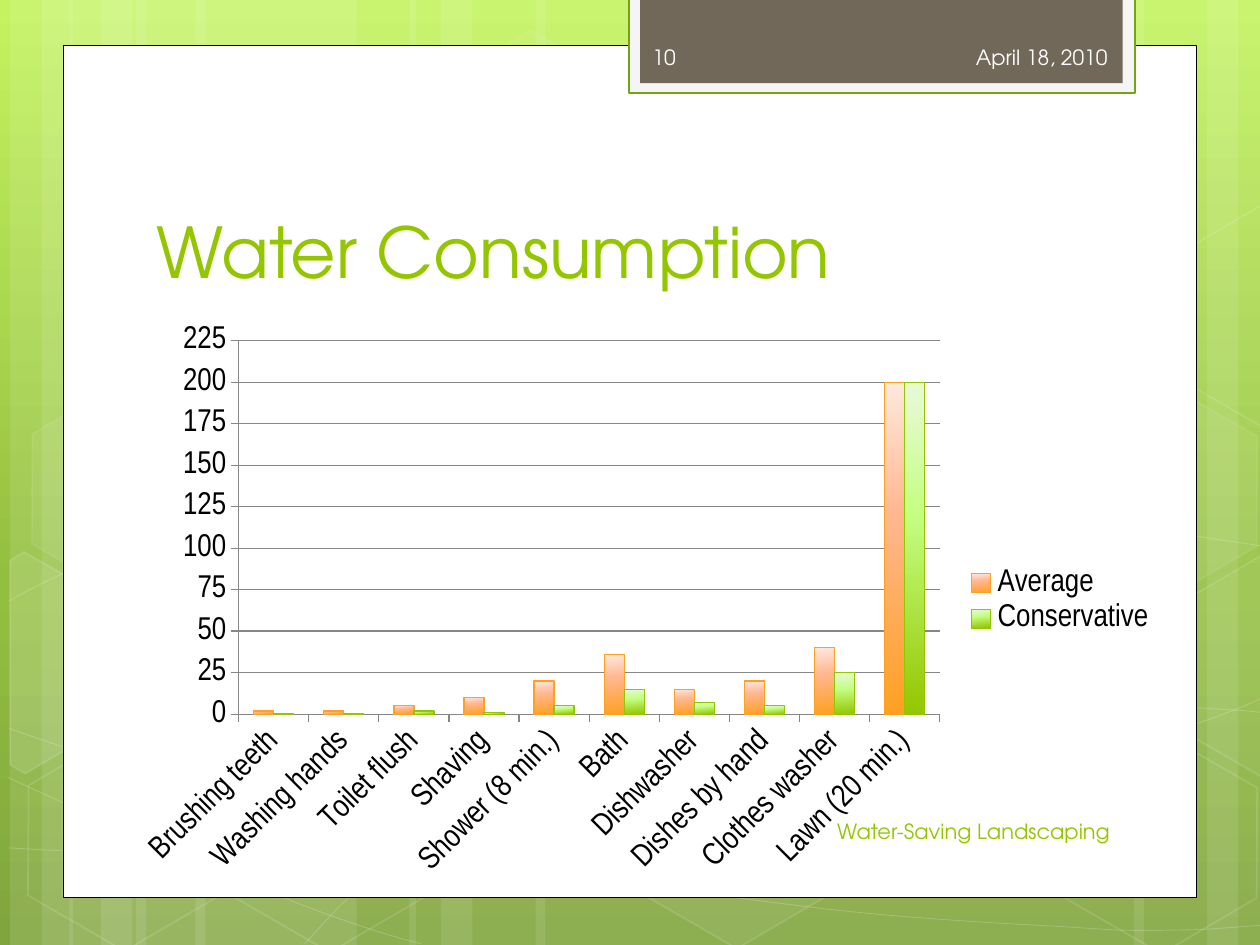
from dataclasses import dataclass
from typing import Optional

from lxml.etree import SubElement
from pptx import Presentation
from pptx.chart.data import CategoryChartData
from pptx.dml.color import RGBColor
from pptx.enum.chart import XL_CHART_TYPE as ChartType, XL_LEGEND_POSITION as LegendPosition
from pptx.enum.chart import XL_TICK_MARK as TickMark
from pptx.enum.shapes import MSO_SHAPE as Preset
from pptx.enum.text import MSO_ANCHOR as Anchor, PP_ALIGN as Align
from pptx.oxml import parse_xml
from pptx.oxml.ns import nsdecls, qn
from pptx.util import Cm, Pt


@dataclass(frozen=True)
class Theme:
    white: str = "FFFFFF"
    near_white: str = "FEFEFE"
    black: str = "000000"
    green: str = "94C600"
    orange: str = "FEA022"
    frame: str = "F5F5F5"
    frame_line: str = "74A510"
    brown: str = "71685A"
    axis: str = "878787"
    backdrop: tuple = ((0, "C3F35F"), (62, "93BF3F"), (100, "81A53E"))
    orange_fade: tuple = ((0, "FFE9DE"), (40, "FFB78F"), (100, "FFA021"))
    green_fade: tuple = ((0, "EAF9DA"), (40, "C4FF82"), (100, "94C600"))
    font: str = "TeX Gyre Adventor"
    chart_font: str = "Arial Narrow"
    title_size: int = 40
    chart_size: int = 18
    small_size: int = 12


@dataclass(frozen=True)
class Style:
    """Fill and line; opacities are percentages."""
    fill: Optional[str] = None
    fill_opacity: int = 100
    line: Optional[str] = None
    line_width: float = 1
    line_opacity: int = 100


@dataclass(frozen=True)
class Hexagon:
    left: float
    top: float
    fill_opacity: int
    line_opacity: int


@dataclass(frozen=True)
class Label:
    text: str
    box: tuple
    color: str
    align: Align


@dataclass(frozen=True)
class Series:
    name: str
    values: tuple
    fade: tuple
    line: str


THEME = Theme()
STRIPES = ((1.08, 1.75), (0.08, 0.5), (0.33, 0.83), (1.55, 1.75), (0.55, 0.5), (0.8, 0.83),
           (7.33, 1.75), (9.58, 0.5), (9, 0.83), (4.25, 3.08), (3.25, 0.5), (3.5, 0.83))
# Each curve: a start point, then three Bezier points per segment.
CURVES = (
    ((0.07, 6.73), (0.61, 6.76), (1.15, 6.79), (1.9, 6.78), (2.65, 6.77), (3.58, 6.75), (4.58, 6.65),
     (5.58, 6.55), (7, 6.36), (7.92, 6.17), (8.83, 5.98), (9.77, 5.68), (10.07, 5.51)),
    ((0.07, 4.77), (0.36, 4.61), (0.65, 4.46), (1.21, 4.31), (1.78, 4.16), (2.59, 3.94), (3.47, 3.87),
     (4.36, 3.8), (5.44, 3.79), (6.54, 3.87), (7.64, 3.95), (9.47, 4.26), (10.07, 4.34)),
    ((0.06, 6.17), (1.27, 6.72), (2.47, 7.27), (3.34, 7.49)),
    ((0.07, 5.78), (0.38, 5.89), (0.7, 6), (1.28, 6.16), (1.86, 6.31), (2.73, 6.56), (3.57, 6.73),
     (4.4, 6.9), (5.45, 7.08), (6.28, 7.18), (7.11, 7.29), (8, 7.33), (8.53, 7.36),
     (9.05, 7.4), (9.19, 7.38), (9.45, 7.38), (9.71, 7.37), (9.89, 7.35), (10.07, 7.34)),
    ((2.42, 7.49), (2.6, 7.29), (2.78, 7.09), (3.02, 6.91), (3.26, 6.73), (3.6, 6.53), (3.88, 6.39),
     (4.16, 6.25), (4.33, 6.19), (4.7, 6.09), (5.06, 5.99), (5.73, 5.85), (6.08, 5.78),
     (6.44, 5.71), (6.49, 5.71), (6.8, 5.69), (7.11, 5.66), (7.6, 5.63), (7.94, 5.62),
     (8.29, 5.61), (8.86, 5.62), (8.86, 5.62), (8.86, 5.62), (9.53, 5.62), (9.53, 5.62),
     (9.71, 5.63), (9.88, 5.64), (9.97, 5.65), (10.06, 5.66), (10.03, 5.65), (10.06, 5.66)),
)
HEXAGONS = (Hexagon(3.34, 0.36, 4, 8), Hexagon(4.97, 5.89, 6, 12), Hexagon(0.11, 5.91, 0, 12),
            Hexagon(0.14, 3.12, 7, 8), Hexagon(1.74, 5.92, 0, 12), Hexagon(7.53, 4.53, 10, 12),
            Hexagon(8.34, 5.93, 0, 12), Hexagon(8.34, 3.14, 7, 8))
CUT_HEXAGONS = (
    (10, ((0.08, 4.45), (0.19, 4.38), (0.96, 4.82), (0.95, 5.7), (0.2, 6.14), (0.08, 6.07))),
    (4, ((9.26, 4.85), (10.01, 4.41), (10.09, 4.46), (10.09, 6.13), (10.02, 6.17), (9.26, 5.73))),
    (0, ((9.26, 2.07), (10.01, 1.63), (10.1, 1.68), (10.09, 3.35), (10.02, 3.39), (9.26, 2.95))),
)
PANELS = (
    ((0.5, 0.36, 9, 6.76), Style(THEME.white, line=THEME.black, line_width=0.5)),
    ((4.99, -0.02, 4.02, 0.76), Style(THEME.frame, line=THEME.frame_line, line_width=1.25)),
    ((5.08, -0.02, 3.83, 0.68), Style(THEME.brown)),
)
LABELS = (
    Label("April 18, 2010", (6.56, 0.25, 2.33, 0.4), THEME.near_white, Align.RIGHT),
    Label("Water-Saving Landscaping", (5.08, 6.4, 3.83, 0.4), THEME.green, Align.RIGHT),
    Label("10", (5.08, 0.25, 1.46, 0.4), THEME.near_white, Align.LEFT),
)
CATEGORIES = ("Brushing teeth", "Washing hands", "Toilet flush", "Shaving", "Shower (8 min.)",
              "Bath", "Dishwasher", "Dishes by hand", "Clothes washer", "Lawn (20 min.)")
SERIES = (
    Series("Average", (2, 2, 5, 10, 20, 36, 15, 20, 40, 200), THEME.orange_fade, THEME.orange),
    Series("Conservative", (0.5, 0.5, 2, 1, 5, 15, 7, 5, 25, 200), THEME.green_fade, THEME.green),
)


def inches(value: float) -> Cm:
    return Cm(value * 2.54)


def lengths(values: tuple) -> list:
    return [inches(value) for value in values]


def paint(fill, color: Optional[str], opacity: int, element, color_query: str) -> None:
    if color is None or opacity == 0:
        fill.background()
        return
    fill.solid()
    fill.fore_color.rgb = RGBColor.from_string(color)
    if opacity < 100:
        SubElement(element.xpath(color_query)[0], qn("a:alpha"), val=str(opacity * 1000))


def apply_style(shape, style: Style) -> None:
    shape.shadow.inherit = False
    paint(shape.fill, style.fill, style.fill_opacity, shape.element, "p:spPr/a:solidFill/a:srgbClr")
    shape.line.width = Pt(style.line_width)
    paint(shape.line.fill, style.line, style.line_opacity, shape.element,
          "p:spPr/a:ln/a:solidFill/a:srgbClr")


def apply_gradient(fill, element, stops: tuple, angle: int) -> None:
    """Give a fill any number of stops; the angle runs clockwise."""
    fill.gradient()
    gradient = element.xpath(".//a:gradFill")[0]
    stop_list = gradient.find(qn("a:gsLst"))
    for stop in list(stop_list):
        stop_list.remove(stop)
    for position, color in stops:
        stop = SubElement(stop_list, qn("a:gs"), pos=str(position * 1000))
        SubElement(stop, qn("a:srgbClr"), val=color)
    gradient.find(qn("a:lin")).set("ang", str(angle * 60000))


def format_font(font, name: str, size: int, color: str) -> None:
    font.name, font.size, font.bold = name, Pt(size), False
    font.color.rgb = RGBColor.from_string(color)


def add_outline(slide, points: tuple, style: Style, close: bool):
    start, *rest = [lengths(point) for point in points]
    builder = slide.shapes.build_freeform(*start, scale=1.0)
    builder.add_line_segments(rest, close=close)
    shape = builder.convert_to_shape()
    apply_style(shape, style)
    return shape


def bend(shape) -> None:
    """Turn every three line segments of an outline into one Bezier segment."""
    segments = shape.element.xpath(".//a:path/a:lnTo")
    outline = segments[0].getparent()
    for index in range(0, len(segments), 3):
        curve = SubElement(outline, qn("a:cubicBezTo"))
        for segment in segments[index:index + 3]:
            curve.append(segment[0])
            outline.remove(segment)


def add_box(slide, box: tuple, style: Style, preset=Preset.RECTANGLE):
    shape = slide.shapes.add_shape(preset, *lengths(box))
    apply_style(shape, style)
    return shape


def add_backdrop(slide) -> None:
    apply_gradient(slide.background.fill, slide.element, THEME.backdrop, 90)
    for left, width in STRIPES:
        add_box(slide, (left, 0, width, 7.5), Style(THEME.white, 10))
    for curve in CURVES:
        bend(add_outline(slide, curve, Style(None, 0, THEME.white, 0.5, 20), close=False))
    for hexagon in HEXAGONS:
        style = Style(THEME.white, hexagon.fill_opacity, THEME.white, 1, hexagon.line_opacity)
        shape = add_box(slide, (hexagon.left, hexagon.top, 1.75, 1.52), style, Preset.HEXAGON)
        shape.adjustments[0] = 0.285
        shape.rotation = 30
    for opacity, points in CUT_HEXAGONS:
        add_outline(slide, points, Style(THEME.white, opacity, THEME.white, 1, 12), close=True)
    for box, style in PANELS:
        add_box(slide, box, style)


def add_title(slide) -> None:
    title = slide.shapes.title
    slide.shapes.element.append(title.element)  # bring in front of the panels
    title.left, title.top, title.width, title.height = lengths((1.14, 1.12, 7.68, 1.25))
    title.text_frame.text = "Water Consumption"
    title.text_frame.vertical_anchor = Anchor.BOTTOM
    paragraph = title.text_frame.paragraphs[0]
    paragraph.alignment = Align.LEFT
    format_font(paragraph.runs[0].font, THEME.font, THEME.title_size, THEME.green)


def add_label(slide, label: Label) -> None:
    frame = slide.shapes.add_textbox(*lengths(label.box)).text_frame
    frame.word_wrap = True
    frame.vertical_anchor = Anchor.MIDDLE
    frame.text = label.text
    paragraph = frame.paragraphs[0]
    paragraph.alignment = label.align
    format_font(paragraph.runs[0].font, THEME.font, THEME.small_size, label.color)


def add_consumption_chart(slide) -> None:
    data = CategoryChartData()
    data.categories = CATEGORIES
    for series in SERIES:
        data.add_series(series.name, series.values)
    chart = slide.shapes.add_chart(ChartType.COLUMN_CLUSTERED, *lengths((1, 2.5, 8.28, 4.54)), data).chart
    chart.has_title = False
    format_font(chart.font, THEME.font, THEME.chart_size, THEME.black)
    chart.has_legend = True
    chart.legend.position, chart.legend.include_in_layout = LegendPosition.RIGHT, False
    plot = chart.plots[0]
    plot.gap_width, plot.overlap, plot.vary_by_categories = 150, 0, False
    for drawn, series in zip(plot.series, SERIES):
        apply_gradient(drawn.format.fill, drawn._element, series.fade, 84)
        drawn.format.line.width = Pt(0.75)
        drawn.format.line.color.rgb = RGBColor.from_string(series.line)
    categories, values = chart.category_axis, chart.value_axis
    values.minimum_scale, values.maximum_scale, values.major_unit = 0, 225, 25
    for font in (chart.legend.font, categories.tick_labels.font, values.tick_labels.font):
        format_font(font, THEME.chart_font, THEME.chart_size, THEME.black)
    categories.major_tick_mark = values.major_tick_mark = TickMark.OUTSIDE
    for part in (categories, values, values.major_gridlines):
        part.format.line.width = Pt(0.75)
        part.format.line.color.rgb = RGBColor.from_string(THEME.axis)
    chart.element.xpath(".//c:catAx/c:txPr/a:bodyPr")[0].set("rot", "-2700000")
    place_plot_area(chart, x=10.8, y=4.5, w=67.2, h=65.3)


def place_plot_area(chart, **percentages: float) -> None:
    modes = '<c:layoutTarget val="inner"/><c:xMode val="edge"/><c:yMode val="edge"/>'
    sizes = "".join(f'<c:{name} val="{value / 100:.3f}"/>' for name, value in percentages.items())
    plot_area = chart.element.xpath(".//c:plotArea")[0]
    for layout in plot_area.findall(qn("c:layout")):
        plot_area.remove(layout)
    plot_area.insert(0, parse_xml(f'<c:layout {nsdecls("c")}><c:manualLayout>{modes}{sizes}'
                                  '</c:manualLayout></c:layout>'))


def main() -> None:
    presentation = Presentation()
    presentation.slide_width, presentation.slide_height = lengths((10, 7.5))
    slide = presentation.slides.add_slide(presentation.slide_layouts[5])
    add_backdrop(slide)
    add_title(slide)
    add_consumption_chart(slide)
    for label in LABELS:
        add_label(slide, label)
    presentation.save("out.pptx")


if __name__ == "__main__":
    main()
